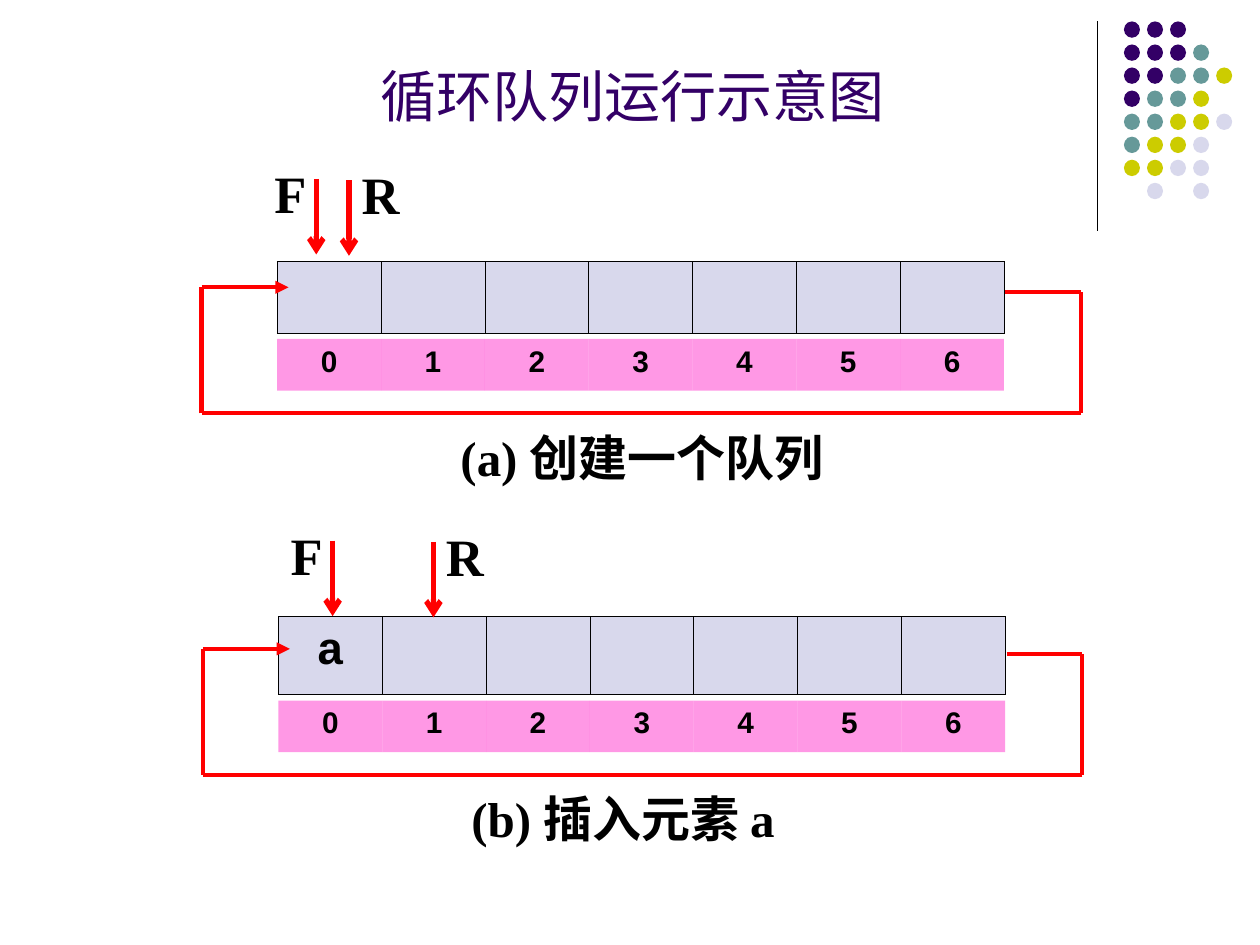
from itertools import pairwise

from lxml import etree
from pptx import Presentation
from pptx.dml.color import RGBColor
from pptx.enum.shapes import MSO_CONNECTOR, MSO_SHAPE
from pptx.enum.text import MSO_ANCHOR, PP_ALIGN
from pptx.oxml.ns import qn
from pptx.util import Inches, Pt

STRAIGHT = MSO_CONNECTOR.STRAIGHT
OVAL = MSO_SHAPE.OVAL
TOP, MIDDLE = MSO_ANCHOR.TOP, MSO_ANCHOR.MIDDLE
CENTER = PP_ALIGN.CENTER

BLACK = RGBColor(0x00, 0x00, 0x00)
RED = RGBColor(0xFF, 0x00, 0x00)
PINK = RGBColor(0xFF, 0x33, 0xCC)
PURPLE = RGBColor(0x33, 0x00, 0x66)
TEAL = RGBColor(0x66, 0x99, 0x99)
OLIVE = RGBColor(0xCC, 0xCC, 0x00)
LAVENDER = RGBColor(0xD8, 0xD8, 0xEC)

SANS, SERIF, CHINESE = "Arial", "Times New Roman", "Noto Sans CJK SC"
PLAIN_TABLE = "{2D5ABB26-0587-4C30-8999-92F81FD0307C}"
COLUMNS, ROWS = 100, 75
SLOTS = 7
DOT_COLOURS = {"P": PURPLE, "T": TEAL, "O": OLIVE, "L": LAVENDER}
DOT_PATTERN = ["PPP", "PPPT", "PPTTO", "PTTO", "TTOOL", "TOOL", "OOLL", " L L"]


def write(paragraph, text, font=SERIF, size=28, colour=BLACK, bold=True, spacing=None):
    paragraph.alignment = CENTER
    if spacing:
        paragraph.line_spacing = Pt(spacing)
    run = paragraph.add_run()
    run.text = text
    run.font.name = font
    run.font.size = Pt(size)
    run.font.bold = bold
    run.font.color.rgb = colour
    etree.SubElement(run.font._element, qn("a:ea"), typeface=font)


class QueueSlide:
    def __init__(self, presentation):
        self.slide = presentation.slides.add_slide(presentation.slide_layouts[6])
        self.shapes = self.slide.shapes
        self.column = presentation.slide_width / COLUMNS
        self.row = presentation.slide_height / ROWS

    def place(self, x, y):
        return round(x * self.column), round(y * self.row)

    def line(self, start, end, colour=RED, width=2.5, arrow=None):
        connector = self.shapes.add_connector(STRAIGHT, *self.place(*start), *self.place(*end))
        connector.line.color.rgb = colour
        connector.line.width = Pt(width)
        if arrow:
            etree.SubElement(connector.line._get_or_add_ln(), qn("a:tailEnd"), type=arrow)
        etree.SubElement(connector._element.spPr, qn("a:effectLst"))

    def dot(self, x, y, colour):
        dot = self.shapes.add_shape(OVAL, *self.place(x, y), *self.place(1.27, 1.3))
        dot.shadow.inherit = False
        dot.fill.solid()
        dot.fill.fore_color.rgb = colour
        dot.line.fill.background()

    def text(self, x, y, width, height, runs, spacing=33, anchor=TOP, **style):
        box = self.shapes.add_textbox(*self.place(x, y), *self.place(width, height))
        frame = box.text_frame
        frame.word_wrap = True
        frame.vertical_anchor = anchor
        frame.margin_left = frame.margin_right = frame.margin_top = frame.margin_bottom = 0
        for words, font in runs:
            write(frame.paragraphs[0], words, font=font, spacing=spacing, **style)

    def table(self, x, y, height, values, fill, size, border=None, alpha=None):
        frame = self.shapes.add_table(1, SLOTS, *self.place(x, y), *self.place(57.7, height))
        table = frame.table
        table.first_row = table.horz_banding = False
        table._tbl.tblPr.find(qn("a:tableStyleId")).text = PLAIN_TABLE
        for cell, value in zip(table.rows[0].cells, values):
            if border:
                self.border(cell, border)
            cell.fill.solid()
            cell.fill.fore_color.rgb = fill
            if alpha:
                tint = cell._tc.tcPr.find(qn("a:solidFill")).find(qn("a:srgbClr"))
                etree.SubElement(tint, qn("a:alpha"), val=str(alpha * 1000))
            if value:
                write(cell.text_frame.paragraphs[0], value, font=SANS, size=size)

    def border(self, cell, width):
        properties = cell._tc.get_or_add_tcPr()
        for side in ("a:lnL", "a:lnR", "a:lnT", "a:lnB"):
            edge = etree.SubElement(properties, qn(side), w=str(Pt(width)))
            paint = etree.SubElement(edge, qn("a:solidFill"))
            etree.SubElement(paint, qn("a:srgbClr"), val=str(BLACK))

    def pointer(self, name, x, y, label_shift):
        self.line((x, y), (x, y + 6), width=3, arrow="arrow")
        self.text(x + label_shift, y - 1, 4.4, 4.8, [(name, SERIF)], size=30)

    def queue(self, x, y, values, cell_height, front, rear, caption, caption_x):
        self.table(x, y + 5.75 - cell_height, cell_height, values, LAVENDER, 26, border=0.45)
        self.table(x, y + 6.2, 4.1, [str(slot) for slot in range(SLOTS)], PINK, 17, alpha=50)
        self.pointer("F", front, y - 6.5, -4.25)
        self.pointer("R", rear, y - 6.4, 0.3)
        left, right, bottom = x - 6, x + 63.8, y + 12.1
        entry, leave = y + 2.1, y + 2.5
        corners = [(x + 57.8, leave), (right, leave), (right, bottom),
                   (left, bottom), (left, entry), (x + 0.9, entry)]
        sides = list(pairwise(corners))
        for start, end in sides:
            self.line(start, end, arrow="triangle" if end == corners[-1] else None)
        self.text(caption_x, y + 13.3, 32.7, 5.2, caption)


def main():
    presentation = Presentation()
    presentation.slide_width, presentation.slide_height = Inches(10), Inches(7.5)
    page = QueueSlide(presentation)
    page.line((87.1, 1.7), (87.1, 18.3), colour=BLACK, width=0.75)
    for row, pattern in enumerate(DOT_PATTERN):
        for column, key in enumerate(pattern):
            if key in DOT_COLOURS:
                page.dot(89.2 + 1.83 * column, 1.7 + 1.83 * row, DOT_COLOURS[key])
    page.queue(22, 20.7, [""] * SLOTS, 5.7, 25.1, 27.7,
               [("(a) ", SERIF), ("创建一个队列", CHINESE)], 34.6)
    page.queue(22.1, 49.4, ["a"] + [""] * (SLOTS - 1), 6.2, 26.4, 34.4,
               [("(b) ", SERIF), ("插入元素 ", CHINESE), ("a", SERIF)], 33.1)
    page.text(20.5, 2, 59.5, 8.8, [("循环队列运行示意图", CHINESE)], spacing=55,
              anchor=MIDDLE, size=32, colour=PURPLE, bold=False)
    presentation.save("out.pptx")


if __name__ == "__main__":
    main()
